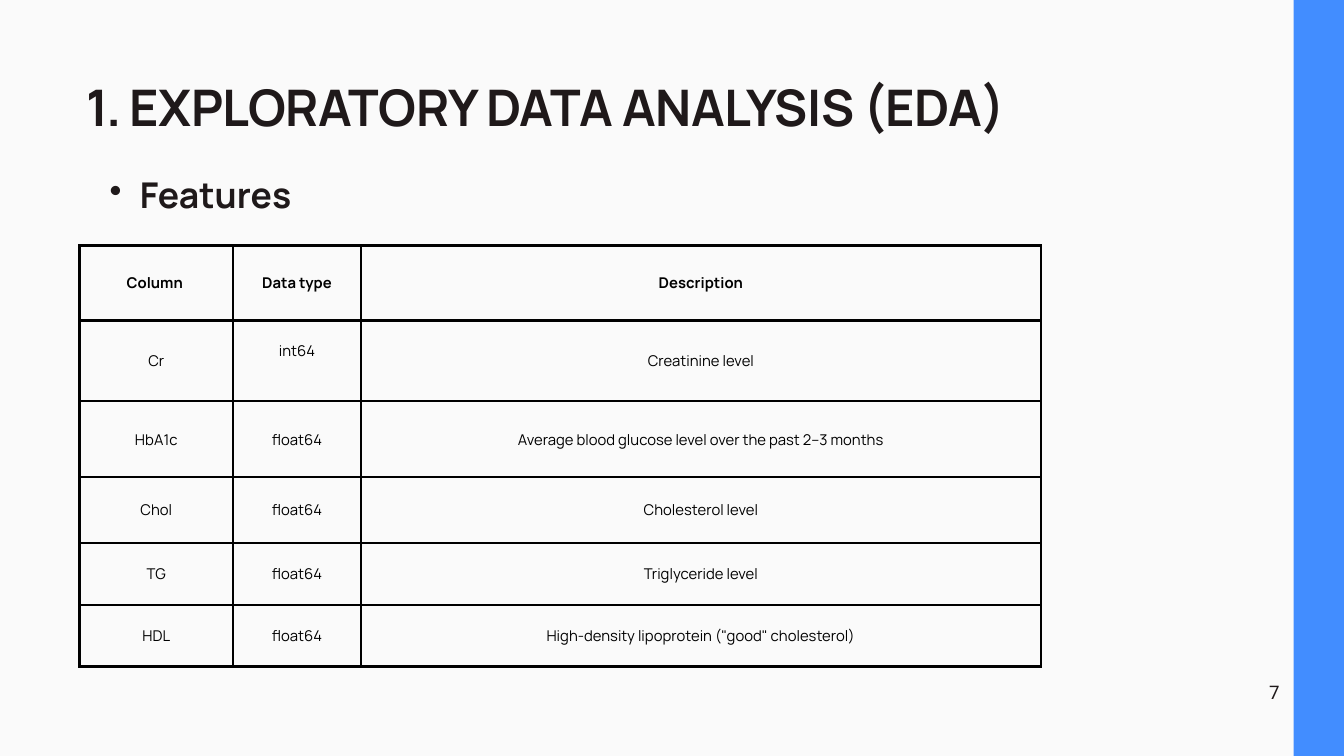
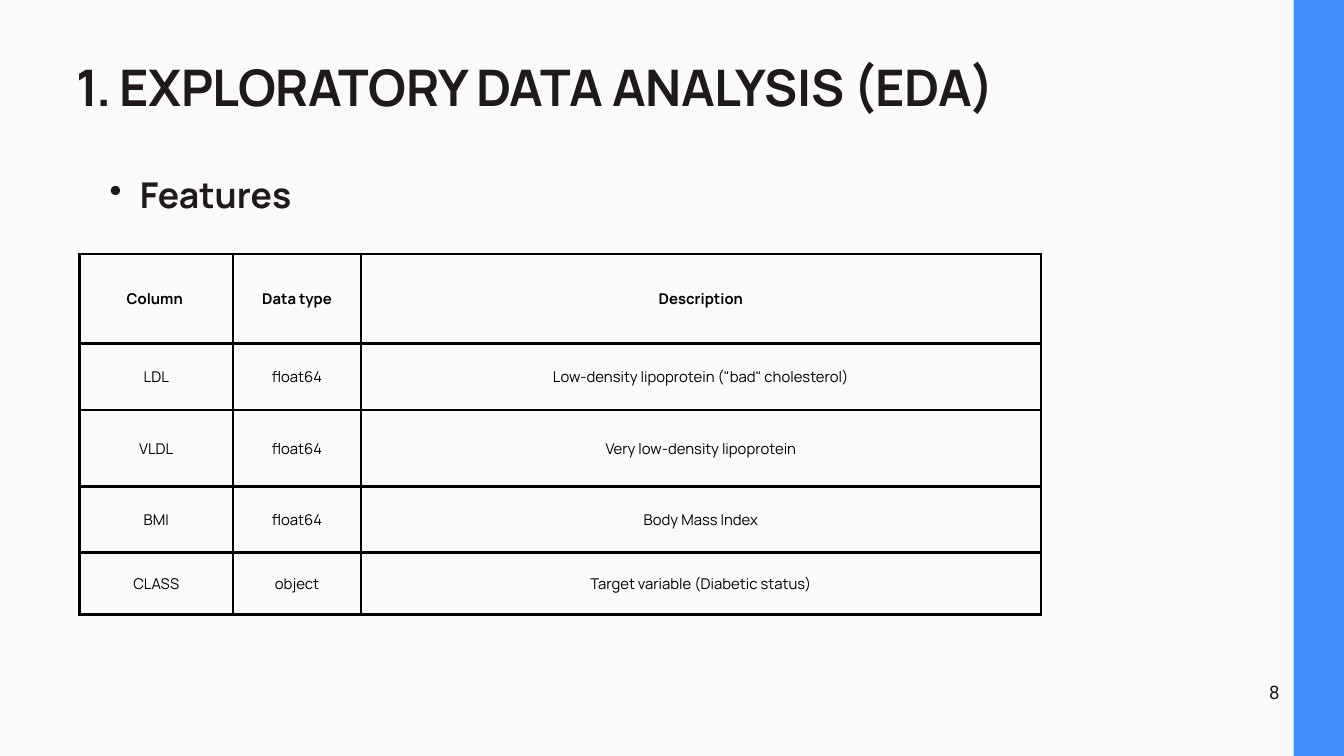
"""Build two slides that list the data set features in ruled tables."""
from dataclasses import dataclass

from lxml.etree import SubElement
from pptx import Presentation
from pptx.dml.color import RGBColor
from pptx.enum.shapes import MSO_SHAPE as Shape
from pptx.enum.text import MSO_ANCHOR as Anchor, MSO_AUTO_SIZE as AutoSize, PP_ALIGN as Align
from pptx.oxml.ns import qn
from pptx.slide import Slide
from pptx.table import _Cell as Cell
from pptx.text.text import _Paragraph as Paragraph
from pptx.util import Pt

PAPER, INK, BLUE, BLACK = "FAFAFA", "1F191A", "428DFF", "000000"
COLUMN_WIDTHS = (164.9, 136.8, 728.6)
HEADINGS = ("Column ", "Data type", "Description")
TABLE_LEFT = 85
CELL_MARGIN = 15
CELL_LINE = 22.3


@dataclass(frozen=True)
class Style:
    """Look of one line of text."""
    size: float
    line: float
    color: str = INK
    font: str = "Manrope"
    bold: bool = True
    tracking: float = 0
    align: Align | None = None


@dataclass(frozen=True)
class Marker:
    """Bullet or number in front of a line, hung by half of its indent."""
    tag: str
    attribute: str
    value: str
    indent: float


@dataclass(frozen=True)
class Box:
    """Place of a text box."""
    left: float
    top: float
    width: float
    height: float


@dataclass(frozen=True)
class Feature:
    """One table row; lift is extra space under the data type."""
    column: str
    data_type: str
    description: str
    height: float
    lift: float = 0


@dataclass(frozen=True)
class FeaturePage:
    """Content of one slide."""
    number: int
    title_left: float
    title_top: float
    table_top: float
    header_height: float
    features: tuple[Feature, ...]


TITLE = Style(54, 50.2, tracking=-0.5)
SUBTITLE = Style(38, 80.2)
PAGE_NUMBER = Style(20, 28, font="Roboto", bold=False, align=Align.CENTER)
HEADING = Style(15.9, CELL_LINE, BLACK, align=Align.CENTER)
BODY = Style(15.9, CELL_LINE, BLACK, bold=False, align=Align.CENTER)
NUMBERED = Marker("a:buAutoNum", "type", "arabicPeriod", 92.2)
BULLETED = Marker("a:buChar", "char", "•", 64.8)

PAGES = (
    FeaturePage(7, 46.8, 95.8, 262.8, 80.6, (
        Feature("Cr", "int64", "Creatinine level", 86.4, CELL_LINE),
        Feature("HbA1c", "float64", "Average blood glucose level over the past 2–3 months", 81.4),
        Feature("Chol", "float64", "Cholesterol level", 70.6),
        Feature("TG", "float64", "Triglyceride level", 66.2),
        Feature("HDL", "float64", 'High-density lipoprotein ("good" cholesterol)', 66.2),
    )),
    FeaturePage(8, 36, 74.9, 272.2, 95.8, (
        Feature("LDL", "float64", 'Low-density lipoprotein ("bad" cholesterol)', 71.3),
        Feature("VLDL", "float64", "Very low-density lipoprotein", 82.1),
        Feature("BMI", "float64", "Body Mass Index", 70.6),
        Feature("CLASS", "object", "Target variable (Diabetic status)", 66.2),
    )),
)


def rgb(color: str) -> RGBColor:
    """Turn a hex string into a colour."""
    return RGBColor.from_string(color)


def write(paragraph: Paragraph, text: str, style: Style) -> None:
    """Set the text of a paragraph and format its run."""
    paragraph.text = text
    paragraph.alignment = style.align
    paragraph.line_spacing = Pt(style.line)
    run = paragraph.runs[0]
    run.font.name, run.font.size, run.font.bold = style.font, Pt(style.size), style.bold
    run.font.color.rgb = rgb(style.color)
    if style.tracking:
        run.font._element.set("spc", str(round(style.tracking * 100)))


def mark(paragraph: Paragraph, marker: Marker) -> None:
    """Give a paragraph a hanging bullet or number."""
    paragraph.level = 1
    properties = paragraph._p.get_or_add_pPr()
    properties.set("marL", str(Pt(marker.indent)))
    properties.set("indent", str(-Pt(marker.indent / 2)))
    SubElement(properties, qn(marker.tag)).set(marker.attribute, marker.value)


def add_text(slide: Slide, box: Box, text: str, style: Style,
             marker: Marker | None = None, wrap: bool = True) -> None:
    """Add a one-line text box without insets."""
    frame = slide.shapes.add_textbox(
        Pt(box.left), Pt(box.top), Pt(box.width), Pt(box.height)).text_frame
    frame.margin_left = frame.margin_right = frame.margin_top = frame.margin_bottom = 0
    frame.word_wrap = wrap
    frame.auto_size = AutoSize.SHAPE_TO_FIT_TEXT
    paragraph = frame.paragraphs[0]
    if marker:
        mark(paragraph, marker)
    write(paragraph, text, style)


def rule_cell(cell: Cell, width: float = 3) -> None:
    """Draw black borders on all sides of a cell."""
    properties = cell._tc.get_or_add_tcPr()
    for side in ("a:lnL", "a:lnR", "a:lnT", "a:lnB"):
        line = SubElement(properties, qn(side), w=str(Pt(width)))
        SubElement(SubElement(line, qn("a:solidFill")), qn("a:srgbClr"), val=BLACK)


def fill_cell(cell: Cell, text: str, style: Style, lift: float = 0) -> None:
    """Write and format one table cell."""
    rule_cell(cell)
    cell.fill.background()
    cell.vertical_anchor = Anchor.MIDDLE
    cell.margin_left = cell.margin_right = cell.margin_top = Pt(CELL_MARGIN)
    cell.margin_bottom = Pt(CELL_MARGIN + lift)
    write(cell.text_frame.paragraphs[0], text, style)


def add_feature_table(slide: Slide, page: FeaturePage) -> None:
    """Add the table of features with its heading row."""
    heights = [page.header_height, *(feature.height for feature in page.features)]
    table = slide.shapes.add_table(
        len(heights), len(COLUMN_WIDTHS), Pt(TABLE_LEFT), Pt(page.table_top),
        Pt(sum(COLUMN_WIDTHS)), Pt(sum(heights))).table
    table.first_row = table.horz_banding = False
    for column, width in zip(table.columns, COLUMN_WIDTHS):
        column.width = Pt(width)
    for row, height in zip(table.rows, heights):
        row.height = Pt(height)
    for index, heading in enumerate(HEADINGS):
        fill_cell(table.cell(0, index), heading, HEADING)
    for row_index, feature in enumerate(page.features, start=1):
        fill_cell(table.cell(row_index, 0), feature.column, BODY)
        fill_cell(table.cell(row_index, 1), feature.data_type, BODY, feature.lift)
        fill_cell(table.cell(row_index, 2), feature.description, BODY)


def add_side_band(slide: Slide) -> None:
    """Add the blue band that bleeds over the right edge."""
    band = slide.shapes.add_shape(Shape.RECTANGLE, Pt(1386), Pt(-37.4), Pt(243), Pt(884.2))
    band.shadow.inherit = False
    band.fill.solid()
    band.fill.fore_color.rgb = rgb(BLUE)
    band.line.fill.background()


def build_page(slide: Slide, page: FeaturePage) -> None:
    """Draw one feature slide."""
    slide.background.fill.solid()
    slide.background.fill.fore_color.rgb = rgb(PAPER)
    add_side_band(slide)
    add_text(slide, Box(TABLE_LEFT, 151.2, 1202.4, 74.2), "Features", SUBTITLE, BULLETED)
    add_feature_table(slide, page)
    add_text(slide, Box(page.title_left, page.title_top, 1095.8, 58.3),
             "EXPLORATORY DATA ANALYSIS (EDA)", TITLE, NUMBERED)
    add_text(slide, Box(1359.4, 725, 12.2, 15.8), str(page.number), PAGE_NUMBER, wrap=False)


def main() -> None:
    """Build and save the presentation."""
    presentation = Presentation()
    presentation.slide_width, presentation.slide_height = Pt(1440), Pt(810)
    blank = presentation.slide_layouts[6]
    for page in PAGES:
        build_page(presentation.slides.add_slide(blank), page)
    presentation.save("out.pptx")


if __name__ == "__main__":
    main()
